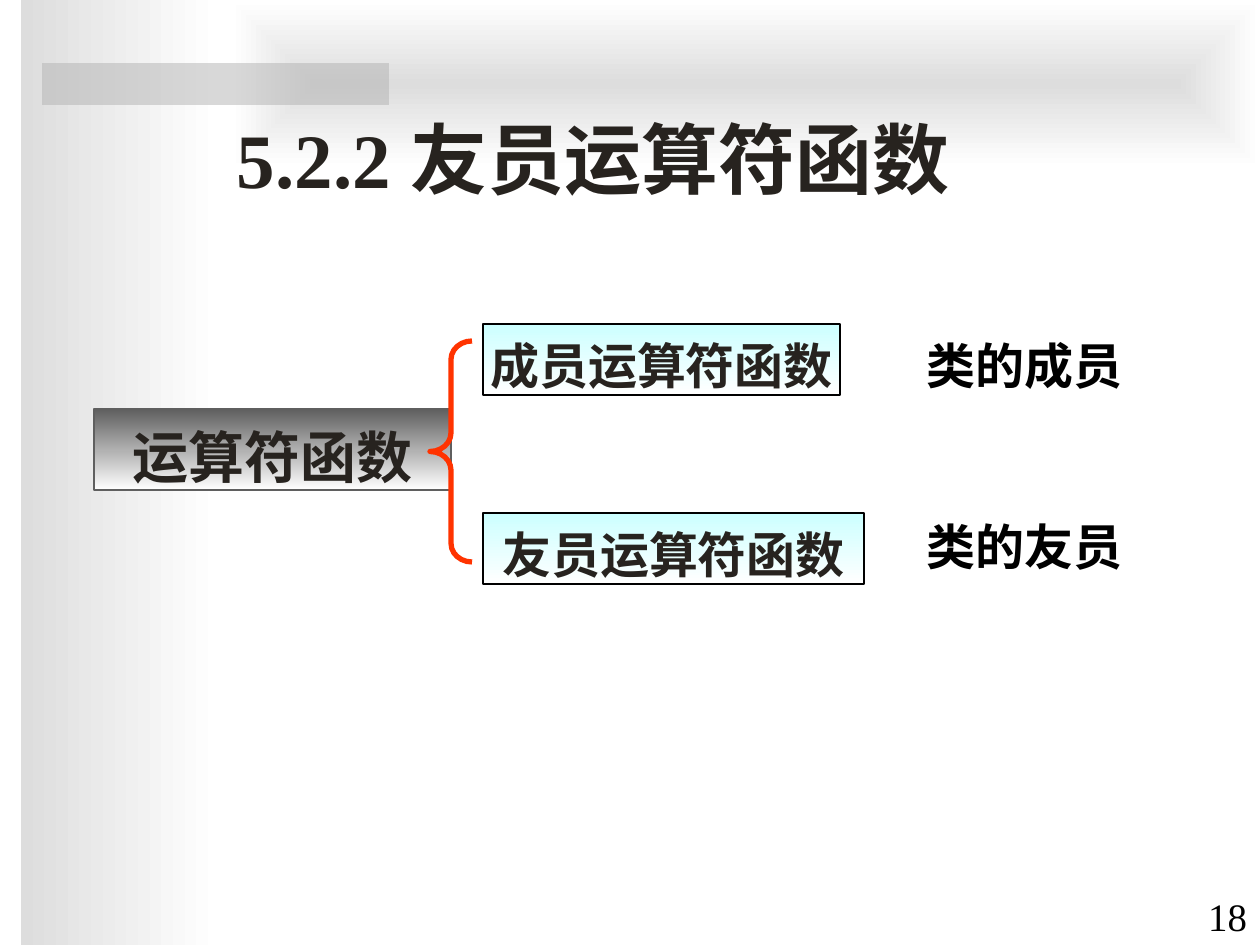
from dataclasses import dataclass

from pptx import Presentation
from pptx.dml.color import RGBColor
from pptx.enum.shapes import MSO_SHAPE
from pptx.enum.text import MSO_ANCHOR, PP_ALIGN
from pptx.oxml import parse_xml
from pptx.oxml.ns import nsdecls, qn
from pptx.util import Emu, Pt

RECT, LEFT_BRACE = MSO_SHAPE.RECTANGLE, MSO_SHAPE.LEFT_BRACE
MIDDLE, BOTTOM = MSO_ANCHOR.MIDDLE, MSO_ANCHOR.BOTTOM
LEFT, CENTER, RIGHT = PP_ALIGN.LEFT, PP_ALIGN.CENTER, PP_ALIGN.RIGHT

EMU_PER_PX = 914400 / 126
SLIDE_W, SLIDE_H = 1260, 945
DOWNWARD = 270
SERIF, SANS = "Times New Roman", "Noto Sans CJK SC"
COLORS = {
    "white": "FFFFFF",
    "mist": "DDDDDD",
    "silver": "B2B2B2",
    "slate": "5F5F5F",
    "aqua": "CCFFFF",
    "ink": "27231F",
    "black": "000000",
    "brace": "FF3300",
}


@dataclass(frozen=True)
class Area:
    x: int
    y: int
    w: int
    h: int

    def emu(self) -> list[Emu]:
        return [px(n) for n in (self.x, self.y, self.w, self.h)]


@dataclass(frozen=True)
class Style:
    size: float
    color: str
    font: str = SERIF
    bold: bool = True
    align: PP_ALIGN = LEFT
    anchor: MSO_ANCHOR = MIDDLE
    inset_x: int = 0
    inset_y: int = 0
    line_spacing: float = 1.2
    space_before: float = 0


@dataclass(frozen=True)
class Box:
    text: str
    area: Area
    style: Style
    fill: str
    line: str


@dataclass(frozen=True)
class Label:
    text: str
    area: Area
    style: Style


TITLE = Style(44, "ink", anchor=BOTTOM, inset_x=13, inset_y=6, line_spacing=1)
NUMBER = Style(22.2, "black", bold=False, align=RIGHT, anchor=BOTTOM,
               inset_x=13, inset_y=6, line_spacing=0.9)
ROOT = Style(32, "ink", SANS, align=CENTER, space_before=20)
BRANCH = Style(28, "ink", SANS, align=CENTER, space_before=17.5)
NOTE = Style(28, "black", space_before=17.5)

BOXES = [
    Box("成员运算符函数", Area(483, 324, 357, 71), BRANCH, "aqua", "black"),
    Box("友员运算符函数", Area(483, 513, 381, 71), BRANCH, "aqua", "black"),
    Box("运算符函数", Area(94, 409, 357, 81), ROOT, "slate", "slate"),
]
LABELS = [
    Label("18", Area(1134, 883, 126, 63), NUMBER),
    Label("5.2.2 友员运算符函数", Area(224, 105, 882, 105), TITLE),
    Label("类的成员", Area(927, 324, 315, 71), NOTE),
    Label("类的友员", Area(927, 505, 262, 71), NOTE),
]


def px(n: int) -> Emu:
    return Emu(round(n * EMU_PER_PX))


def rgb(name: str) -> RGBColor:
    return RGBColor.from_string(COLORS[name])


def add_plain_shape(slide, kind: MSO_SHAPE, area: Area):
    sp = slide.shapes.add_shape(kind, *area.emu())
    sp.shadow.inherit = False
    sp.line.fill.background()
    return sp


def fade_to_white(sp, color: str, angle: int = 0) -> None:
    sp.fill.gradient()
    sp.fill.gradient_angle = angle
    for stop, name in zip(sp.fill.gradient_stops, (color, "white")):
        stop.color.rgb = rgb(name)
    first, last = sp.fill.gradient_stops
    first.position, last.position = 0, 1


def fade_from_center(sp) -> None:
    """Turn the linear gradient of a shape into a rectangular one."""
    grad = sp.element.spPr.find(qn("a:gradFill"))
    grad.replace(grad.find(qn("a:lin")), parse_xml(
        f'<a:path {nsdecls("a")} path="rect">'
        '<a:fillToRect l="50000" t="50000" r="50000" b="50000"/></a:path>'))


def set_line(sp, color: str, width: float) -> None:
    sp.line.color.rgb = rgb(color)
    sp.line.width = Pt(width)


def write(sp, text: str, style: Style) -> None:
    tf = sp.text_frame
    tf.text = text
    tf.word_wrap = True
    tf.vertical_anchor = style.anchor
    tf.margin_left = tf.margin_right = px(style.inset_x)
    tf.margin_top = tf.margin_bottom = px(style.inset_y)
    p = tf.paragraphs[0]
    p.alignment = style.align
    p.line_spacing = style.line_spacing
    p.space_before = Pt(style.space_before)
    font = p.runs[0].font
    font.name, font.size, font.bold = style.font, Pt(style.size), style.bold
    font.color.rgb = rgb(style.color)
    font._element.find(qn("a:latin")).addnext(
        parse_xml(f'<a:ea {nsdecls("a")} typeface="{SANS}"/>'))


def add_background(slide) -> None:
    fade_to_white(add_plain_shape(slide, RECT, Area(21, 0, 199, SLIDE_H)), "mist")
    glow = add_plain_shape(slide, RECT, Area(231, 0, 1029, 168))
    fade_to_white(glow, "mist")
    fade_from_center(glow)
    bar = add_plain_shape(slide, RECT, Area(42, 63, 347, 42))
    bar.fill.solid()
    bar.fill.fore_color.rgb = rgb("silver")
    bar.element.spPr.find(f'{qn("a:solidFill")}/{qn("a:srgbClr")}').append(
        parse_xml(f'<a:alpha {nsdecls("a")} val="50000"/>'))


def add_box(slide, box: Box) -> None:
    sp = add_plain_shape(slide, RECT, box.area)
    fade_to_white(sp, box.fill, DOWNWARD)
    set_line(sp, box.line, 0.75)
    write(sp, box.text, box.style)


def add_brace(slide) -> None:
    sp = add_plain_shape(slide, LEFT_BRACE, Area(430, 341, 42, 221))
    sp.adjustments[0] = 0.44
    sp.fill.background()
    set_line(sp, "brace", 3)


def add_label(slide, label: Label) -> None:
    write(slide.shapes.add_textbox(*label.area.emu()), label.text, label.style)


def main() -> None:
    prs = Presentation()
    prs.slide_width, prs.slide_height = px(SLIDE_W), px(SLIDE_H)
    slide = prs.slides.add_slide(prs.slide_layouts[6])
    add_background(slide)
    for box in BOXES:
        add_box(slide, box)
    add_brace(slide)
    for label in LABELS:
        add_label(slide, label)
    prs.save("out.pptx")


if __name__ == "__main__":
    main()
